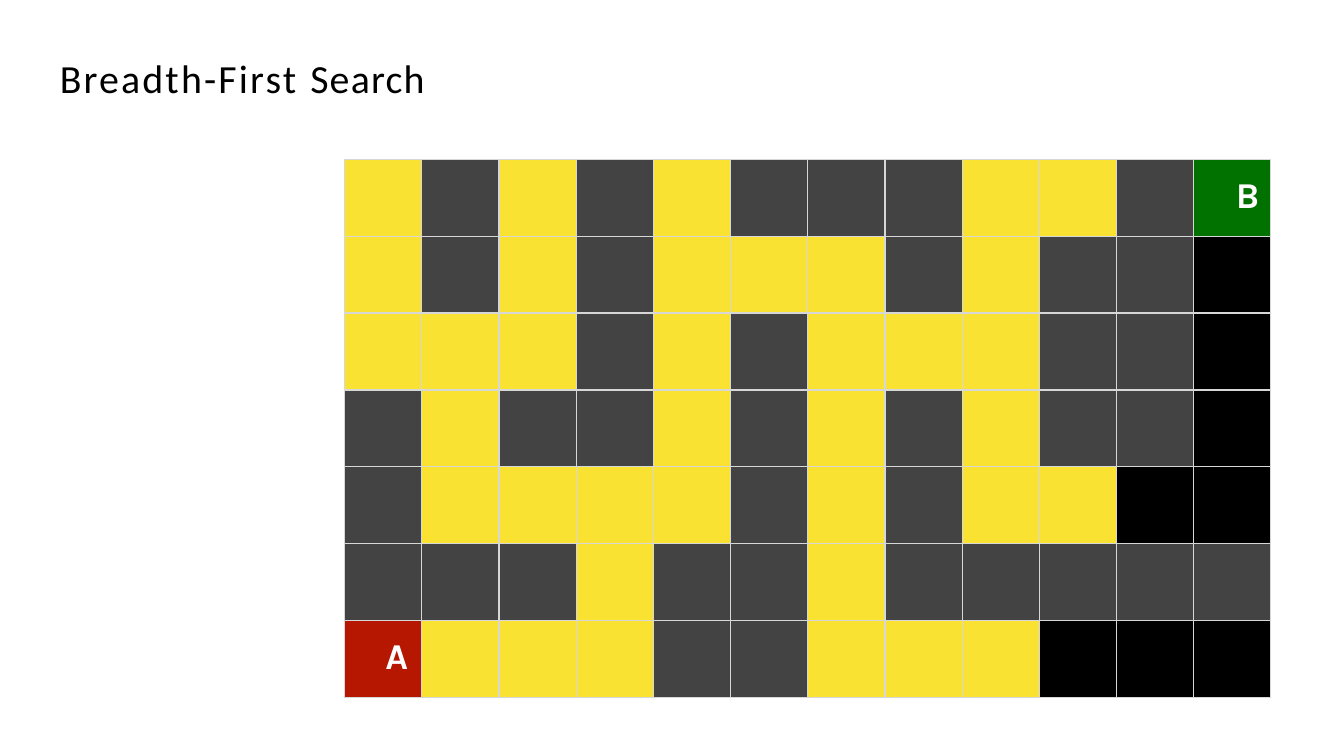
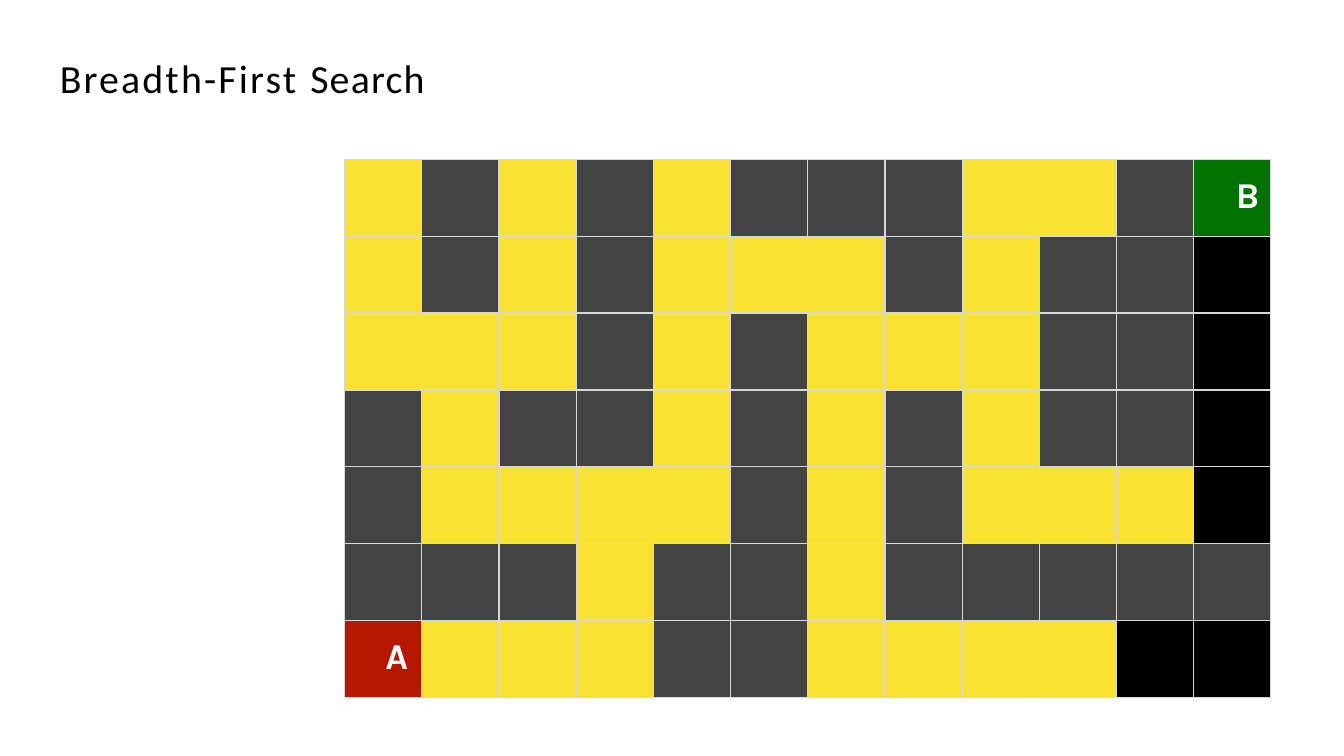
from dataclasses import dataclass

from lxml import etree
from pptx import Presentation
from pptx import util as u
from pptx.dml import color
from pptx.enum import text
from pptx.oxml import ns

EXPLORED = "FAE232"
BORDER = "D6D7D6"
FILLS = {".": EXPLORED, "#": "434343", " ": "000000", "A": "B51700", "B": "017100"}
MAZE = (
    ".#.#.###..#B",
    ".#.#...#.## ",
    "...#.#...## ",
    "#.##.#.#.## ",
    "#....#.#..  ",
    "###.##.#####",
    "A...##...   ",
)


@dataclass(frozen=True)
class Label:
    left: float
    top: float


@dataclass(frozen=True)
class Step:
    newly_explored: frozenset[tuple[int, int]] = frozenset()


@dataclass(frozen=True)
class TitlePart:
    words: str
    spacing: float


LABELS = {"A": Label(29, 10.8), "B": Label(30.2, 11.5)}
STEPS = (Step(), Step(frozenset({(4, 10), (6, 9)})))
TITLE = (TitlePart("Breadth-First ", 1.6), TitlePart("Search", 0.9))


def rgb(value: str) -> color.RGBColor:
    return color.RGBColor.from_string(value)


def set_font(para, name: str, size: float, shade: str, bold: bool = False) -> None:
    para.font.name = name
    para.font.size = u.Pt(size)
    para.font.bold = bold
    para.font.color.rgb = rgb(shade)


def add_title(page) -> None:
    box = page.shapes.add_textbox(u.Pt(41.8), u.Pt(37.4), u.Pt(291.6), u.Pt(35.3))
    frame = box.text_frame
    frame.word_wrap = True
    frame.vertical_anchor = text.MSO_ANCHOR.MIDDLE
    frame.margin_left = u.Pt(0.9)
    frame.margin_top = u.Pt(0.9)
    frame.margin_right = frame.margin_bottom = u.Pt(0)
    para = frame.paragraphs[0]
    set_font(para, "Calibri", 28.5, "000000")
    for part in TITLE:
        span = para.add_run()
        span.text = part.words
        span._r.get_or_add_rPr().set("spc", str(round(part.spacing * 100)))


def set_borders(cell) -> None:
    properties = cell._tc.get_or_add_tcPr()
    for position, side in enumerate(("lnL", "lnR", "lnT", "lnB")):
        line = etree.Element(ns.qn(f"a:{side}"), w=str(u.Pt(1)))
        fill = etree.SubElement(line, ns.qn("a:solidFill"))
        etree.SubElement(fill, ns.qn("a:srgbClr"), val=BORDER)
        properties.insert(position, line)


def add_label(cell, letter: str) -> None:
    label = LABELS[letter]
    cell.margin_left = u.Pt(label.left)
    cell.margin_top = u.Pt(label.top)
    cell.margin_right = cell.margin_bottom = u.Pt(0)
    cell.text = letter
    set_font(cell.text_frame.paragraphs[0], "Karla", 26, "FFFFFF", bold=True)


def add_maze(page, step: Step) -> None:
    table = page.shapes.add_table(
        len(MAZE), len(MAZE[0]), u.Pt(246.2), u.Pt(113.8), u.Pt(661.7), u.Pt(384.5)
    ).table
    table.first_row = table.horz_banding = False
    for row, symbols in enumerate(MAZE):
        for column, symbol in enumerate(symbols):
            cell = table.cell(row, column)
            explored = (row, column) in step.newly_explored
            cell.fill.solid()
            cell.fill.fore_color.rgb = rgb(EXPLORED if explored else FILLS[symbol])
            set_borders(cell)
            if symbol in LABELS:
                add_label(cell, symbol)


def main() -> None:
    deck = Presentation()
    deck.slide_width, deck.slide_height = u.Pt(960), u.Pt(540)
    for step in STEPS:
        page = deck.slides.add_slide(deck.slide_layouts[6])
        add_maze(page, step)
        add_title(page)
    deck.save("out.pptx")


if __name__ == "__main__":
    main()
